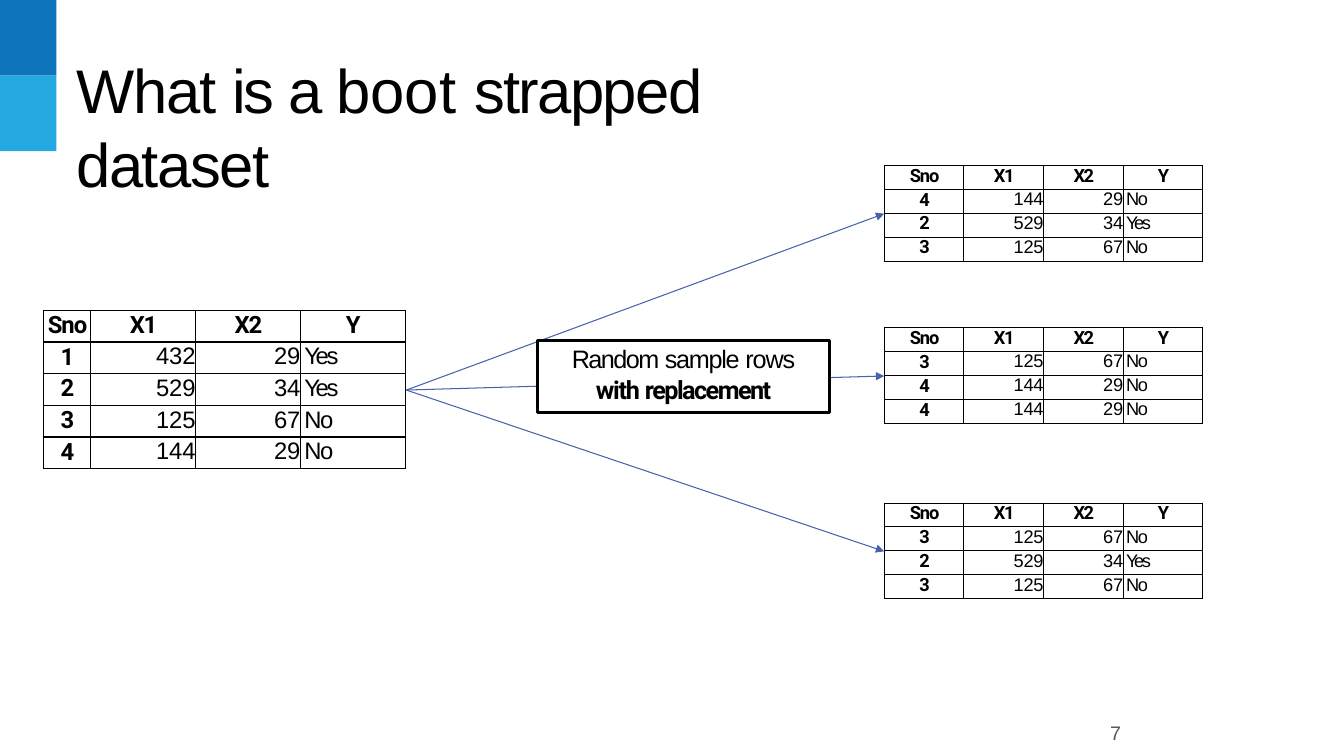
import pptx
import pptx.dml.color
import pptx.enum.shapes
import pptx.enum.text
import pptx.oxml.ns
import pptx.util
from lxml import etree

EMU_PER_PX = 9144  # 100 px to the inch

BLACK = pptx.dml.color.RGBColor(0x00, 0x00, 0x00)
WHITE = pptx.dml.color.RGBColor(0xFF, 0xFF, 0xFF)
GREY = pptx.dml.color.RGBColor(0x58, 0x58, 0x58)
DARK_BLUE = pptx.dml.color.RGBColor(0x0E, 0x75, 0xBC)
LIGHT_BLUE = pptx.dml.color.RGBColor(0x24, 0xAA, 0xE1)
ARROW_BLUE = pptx.dml.color.RGBColor(0x46, 0x62, 0xAA)

LEFT = pptx.enum.text.PP_ALIGN.LEFT
CENTER = pptx.enum.text.PP_ALIGN.CENTER
RIGHT = pptx.enum.text.PP_ALIGN.RIGHT

HEADER = ("Sno", "X1", "X2", "Y")
ROWS = {
    1: ("1", "432", "29", "Yes"),
    2: ("2", "529", "34", "Yes"),
    3: ("3", "125", "67", "No"),
    4: ("4", "144", "29", "No"),
}
SAMPLES = [(164, (4, 2, 3)), (325, (3, 4, 4)), (499, (3, 2, 3))]
SAMPLE_LEFT = 877
ARROW_START = (403, 387)


def px(length):
    return pptx.util.Emu(length * EMU_PER_PX)


def add_child(parent, tag, **attributes):
    return etree.SubElement(parent, pptx.oxml.ns.qn(tag), attributes)


def write_paragraph(para, spans, font, size, color=BLACK, bold=False, align=LEFT, before=0):
    """Fill a paragraph from (text, letter spacing in points) pairs."""
    para.alignment = align
    para.space_before = pptx.util.Pt(before)
    para.font.name = font
    para.font.size = pptx.util.Pt(size)
    para.font.bold = bold
    para.font.color.rgb = color
    for text, spacing in spans:
        span = para.add_run()
        span.text = text
        span.font._element.set("spc", str(round(spacing * 100)))


def set_frame(frame, left=0, top=0):
    frame.word_wrap = True
    frame.vertical_anchor = pptx.enum.text.MSO_ANCHOR.TOP
    frame.margin_left, frame.margin_top = px(left), px(top)
    frame.margin_right = frame.margin_bottom = 0


def add_text(page, left, top, width, height, spans, inset, **style):
    box = page.shapes.add_textbox(px(left), px(top), px(width), px(height))
    set_frame(box.text_frame, *inset)
    write_paragraph(box.text_frame.paragraphs[0], spans, "Arial", **style)


def add_rectangle(page, left, top, width, height, fill, line=None):
    box = page.shapes.add_shape(pptx.enum.shapes.MSO_SHAPE.RECTANGLE,
                                px(left), px(top), px(width), px(height))
    box.shadow.inherit = False
    box.fill.solid()
    box.fill.fore_color.rgb = fill
    if line is None:
        box.line.fill.background()
    else:
        box.line.color.rgb = line
        box.line.width = pptx.util.Pt(2)
    return box


def add_arrow(page, start, end):
    arrow = page.shapes.add_connector(pptx.enum.shapes.MSO_CONNECTOR.STRAIGHT,
                                      *map(px, start + end))
    arrow.line.color.rgb = ARROW_BLUE
    arrow.line.width = pptx.util.Pt(0.75)
    add_child(arrow.line._get_or_add_ln(), "a:tailEnd", type="triangle")
    add_child(arrow._element.spPr, "a:effectLst")


def set_borders(cell, width):
    properties = cell._tc.get_or_add_tcPr()
    for side in ("a:lnL", "a:lnR", "a:lnT", "a:lnB"):
        line = add_child(properties, side, w=str(pptx.util.Pt(width)))
        add_child(add_child(line, "a:solidFill"), "a:srgbClr", val=str(BLACK))


def letter_spacing(text):
    if text.isdigit():
        return -0.1 if len(text) > 1 else 0
    return {"Sno": -0.7, "X1": -1, "X2": -1, "Y": 0, "Yes": -1.7, "No": -1}[text]


def add_data_table(page, left, top, widths, height, rows, size, before, border, indent):
    records = [HEADER] + rows
    table = page.shapes.add_table(len(records), len(HEADER), px(left), px(top),
                                  px(sum(widths)), px(height)).table
    table.first_row = table.horz_banding = False
    for column, width in zip(table.columns, widths):
        column.width = px(width)
    for row_index, record in enumerate(records):
        table.rows[row_index].height = px(height) // len(records)
        for column_index, text in enumerate(record):
            cell = table.cell(row_index, column_index)
            bold = row_index == 0 or column_index == 0
            align = CENTER if bold else RIGHT if text.isdigit() else LEFT
            cell.margin_left = px(indent if align == LEFT else 1 if bold else 0)
            cell.margin_top = px(1 if size > 14 else 0)
            cell.margin_right = cell.margin_bottom = 0
            set_borders(cell, border)
            cell.fill.background()
            write_paragraph(cell.text_frame.paragraphs[0], [(text, letter_spacing(text))],
                            "Roboto" if bold else "Arial", size, bold=bold,
                            align=align, before=before)


def main():
    deck = pptx.Presentation()
    deck.slide_width, deck.slide_height = px(1333), px(750)
    page = deck.slides.add_slide(deck.slide_layouts[6])

    # Corner blocks
    add_rectangle(page, 0, 0, 56, 75, DARK_BLUE)
    add_rectangle(page, 0, 75, 56, 75, LIGHT_BLUE)

    # Title
    add_text(page, 75, 51, 804, 76,
             [("What ", -0.9), ("is ", -1.9), ("a ", -3), ("boot ", 0.1),
              ("strapped ", -1.2), ("dataset", -1.1)],
             inset=(1, 1), size=44, before=1.1)

    # Full dataset
    add_data_table(page, 43, 308, [47, 104, 104, 104], 157, list(ROWS.values()),
                   size=17, before=0.6, border=1, indent=4)

    # Bootstrapped samples, each with its arrow
    for top, numbers in SAMPLES:
        add_data_table(page, SAMPLE_LEFT, top, [79] * 4, 95, [ROWS[n] for n in numbers],
                       size=13, before=0.3, border=0.75, indent=3)
        add_arrow(page, ARROW_START, (SAMPLE_LEFT, top + 48))

    # Sampling rule
    rule = add_rectangle(page, 533, 338, 290, 71, WHITE, BLACK).text_frame
    set_frame(rule, top=3)
    write_paragraph(rule.paragraphs[0], [("Random ", -1.1), ("sample ", -0.9), ("rows", -0.8)],
                    "Arial", 18, align=CENTER, before=2.4)
    write_paragraph(rule.add_paragraph(), [("with ", -0.9), ("replacement", -1.1)],
                    "Roboto", 18, bold=True, align=CENTER)

    # Page number
    add_text(page, 1098, 706, 26, 35, [("7", -0.6)], inset=(3, 9),
             size=14, color=GREY, before=6.7)

    deck.save("out.pptx")


if __name__ == "__main__":
    main()
